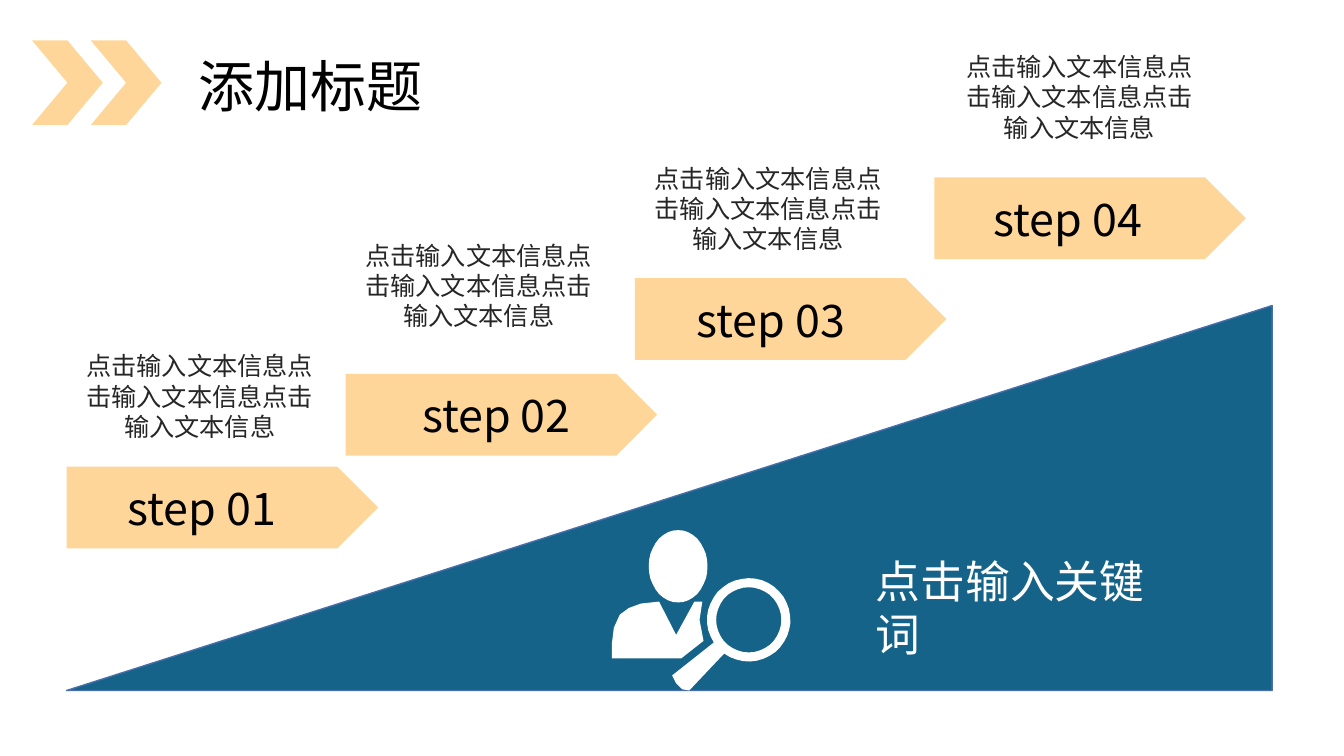
from math import cos, radians, sin

from lxml.etree import SubElement
from pptx import Presentation
from pptx.dml.color import RGBColor
from pptx.enum.shapes import MSO_SHAPE
from pptx.enum.text import MSO_ANCHOR, PP_ALIGN
from pptx.oxml.ns import qn
from pptx.util import Cm, Pt

FONT = "Noto Sans CJK SC"
PEACH = RGBColor(0xFF, 0xD6, 0x99)
TEAL = RGBColor(0x15, 0x63, 0x89)
EDGE = RGBColor(0x47, 0x6F, 0xAA)
BLACK = RGBColor(0, 0, 0)
GREY = RGBColor(0x26, 0x26, 0x26)
WHITE = RGBColor(0xFF, 0xFF, 0xFF)

TITLE = "添加标题"
KEY = "点击输入关键词"
NOTE = "点击输入文本信息点击输入文本信息点击输入文本信息"
STEPS = [
    {"name": "step 01", "arrow": (1.68, 11.76), "label": 2.97, "note": (1.68, 8.71)},
    {"name": "step 02", "arrow": (8.71, 9.42), "label": 10.39, "note": (8.71, 5.92)},
    {"name": "step 03", "arrow": (16, 7.01), "label": 17.3, "note": (16, 3.99)},
    {"name": "step 04", "arrow": (23.55, 4.47), "label": 24.79, "note": (23.85, 1.17)},
]
CHEVRONS = [0.81, 2.29]
BODY = [
    (17.6, 15.16), (17.7, 15.16), (17.63, 15.62), (17.73, 16.15),
    (17.17, 16.59), (15.42, 16.59), (15.42, 16.23), (15.47, 15.82),
    (15.62, 15.49), (15.85, 15.32), (16.15, 15.21), (16.61, 15.16),
    (17.04, 16), (17.5, 15.16),
]
HANDLE = [(17.37, 17.4), (17.19, 17.37), (17.04, 17.22), (16.94, 17.02)]
LENS = (18.87, 15.62)
HEAD = (17.09, 14.27)


def paint(shape, fill, line=None):
    """Give a shape a flat fill and an optional outline."""
    shape.shadow.inherit = False
    shape.fill.solid()
    shape.fill.fore_color.rgb = fill
    if line is None:
        shape.line.fill.background()
    else:
        shape.line.color.rgb = line
        shape.line.width = Pt(1)


def draw(slide, kind, box, fill, line=None):
    """Add a painted preset shape."""
    shape = slide.shapes.add_shape(kind, *map(Cm, box))
    paint(shape, fill, line)
    return shape


def write(shape, text, size, color, align=PP_ALIGN.LEFT):
    """Fill a text shape with one styled paragraph."""
    frame = shape.text_frame
    frame.text = text
    frame.word_wrap = True
    frame.vertical_anchor = MSO_ANCHOR.TOP
    para = frame.paragraphs[0]
    para.alignment = align
    para.line_spacing = Pt(size * 1.2)
    font = para.font
    font.size = Pt(size)
    font.name = FONT
    font.color.rgb = color
    props = para._p.find(".//" + qn("a:defRPr"))
    SubElement(props, qn("a:ea")).set("typeface", FONT)


def add_text(slide, box, *style):
    """Add a text box and write in it."""
    write(slide.shapes.add_textbox(*map(Cm, box)), *style)


def arc(center, wide, high, start=0, end=360):
    """List points along an elliptic arc, angles in degrees."""
    count = 36
    turns = [radians(start + (end - start) * i / count) for i in range(count + 1)]
    return [(center[0] + wide * cos(t), center[1] + high * sin(t)) for t in turns]


def add_icon(slide):
    """Draw a person with a magnifying glass as one outline."""
    loops = [
        BODY,
        arc(LENS, 0.82, 0.82),
        arc(LENS, 1.05, 1.05, 147, 486) + HANDLE,
        arc(HEAD, 0.74, 0.91),
    ]
    loops = [[(x * 100, y * 100) for x, y in loop] for loop in loops]
    pen = slide.shapes.build_freeform(*loops[0][0], scale=Cm(0.01))
    for loop in loops:
        if loop is not loops[0]:
            pen.move_to(*loop[0])
        pen.add_line_segments(loop[1:], close=True)
    paint(pen.convert_to_shape(), WHITE)


def main():
    """Build the step slide and save it."""
    deck = Presentation()
    deck.slide_width, deck.slide_height = Cm(33.87), Cm(19.05)
    slide = deck.slides.add_slide(deck.slide_layouts[5])
    title = slide.shapes.title
    title.left, title.top, title.width, title.height = map(Cm, (4.75, 1.17, 6.4, 1.96))
    write(title, TITLE, 40, BLACK)

    for left in CHEVRONS:
        draw(slide, MSO_SHAPE.CHEVRON, (left, 1.02, 1.78, 2.13), PEACH)
    for step in STEPS:
        left, top = step["arrow"]
        draw(slide, MSO_SHAPE.PENTAGON, (left, top, 7.85, 2.06), PEACH)
        add_text(slide, (step["label"], top + 0.23, 4.55, 1.63), step["name"], 32, BLACK)
        add_text(slide, (*step["note"], 6.71, 2.57), NOTE, 18, GREY, PP_ALIGN.CENTER)

    slope = draw(slide, MSO_SHAPE.ISOSCELES_TRIANGLE, (1.68, 7.7, 30.38, 9.7), TEAL, EDGE)
    slope.adjustments[0] = 1
    add_text(slide, (21.82, 13.82, 8.38, 1.63), KEY, 32, WHITE)
    add_icon(slide)
    deck.save("out.pptx")


if __name__ == "__main__":
    main()
